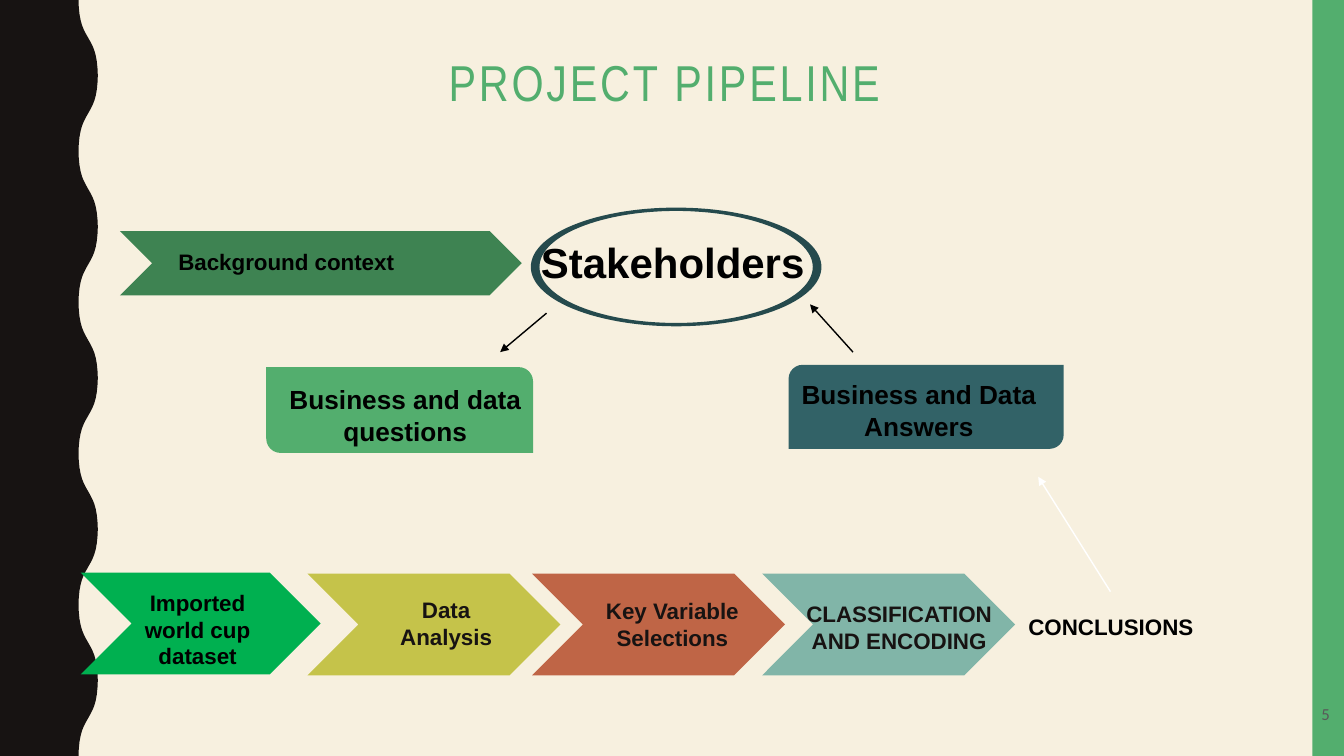
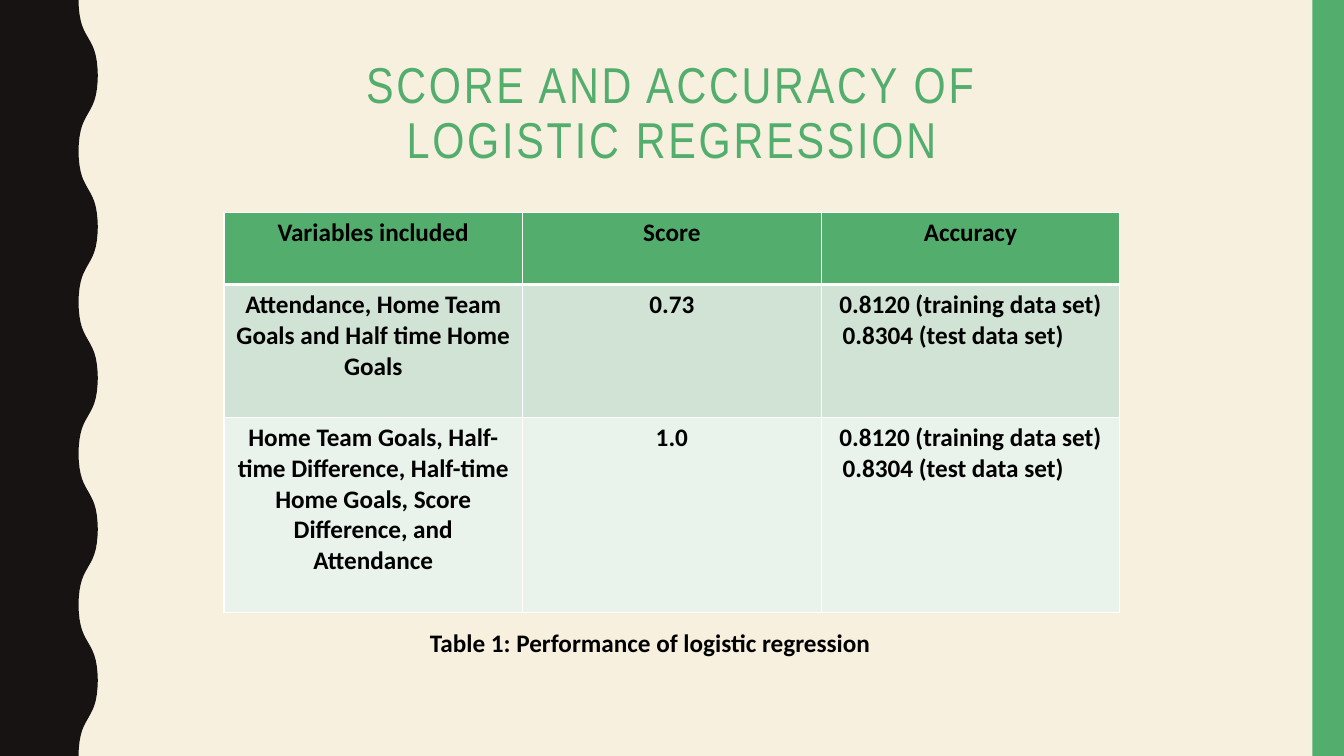
from math import cos, pi, sin

from lxml import etree
from pptx import Presentation
from pptx.dml.color import RGBColor
from pptx.enum.shapes import MSO_CONNECTOR, MSO_SHAPE
from pptx.enum.text import MSO_ANCHOR, PP_ALIGN
from pptx.oxml.ns import qn
from pptx.util import Pt

# Shared look
WIDTH, HEIGHT = 960, 540
COLORS = {
    "paper": "F7F0DF", "ink": "171312", "green": "53AE6E", "black": "000000",
    "white": "FFFFFF", "grey": "595959", "forest": "3E8352", "teal": "326267",
    "deep": "254A4D", "bright": "00B050", "olive": "C5C34A", "rust": "BF6546",
    "sage": "81B5A8", "row odd": "D1E3D5", "row even": "E9F2EB",
}
TITLE = {"name": "Arial Narrow", "size": 36, "color": "green"}
LABEL = {"name": "Arial", "size": 16, "color": "black", "bold": True}
STAGE = {**LABEL, "color": "ink"}
HEADLINE = {**LABEL, "size": 30}
BOX_LABEL = {**LABEL, "size": 18.7}
TABLE = {"name": "Calibri", "size": 18, "color": "black", "bold": True}
NUMBER = {"name": "Calibri", "size": 12, "color": "grey"}
TOP, MIDDLE, BOTTOM = MSO_ANCHOR.TOP, MSO_ANCHOR.MIDDLE, MSO_ANCHOR.BOTTOM

# Wavy band: half of one wave, from trough to its turning point
WAVE_LENGTH, WAVE_MIDDLE = 108, 63
WAVE_QUARTER = [(0, 56.1), (5, 56.3), (10, 56.8), (14.4, 57.6),
                (18, 58.6), (21, 59.8), (24, 61.3), (27, 63)]

# Pipeline content: boxes are (left, top, width, height)
CHEVRONS = [
    ("olive", (219.6, 409.7, 180.7, 72.7)),
    ("forest", (85.7, 165, 287, 46)),
    ("rust", (380, 409.7, 180.7, 72.7)),
    ("sage", (544.4, 409.7, 180.7, 72.7)),
    ("bright", (57.6, 409, 171.4, 72.7)),
]
CORNER_BOXES = [
    ("teal", (563.3, 260.6, 196.5, 60), (0.167, 0)),
    ("green", (190.2, 262.2, 190.6, 61.3), (0, 0.167)),
]
RING_CENTER = (483, 190.7)
RING_RADII = [(103.8, 42.4), (97.6, 40)]
ARROWS = [
    ("black", (390.4, 223.7), (357.3, 251.5)),
    ("black", (609.3, 251.5), (578.6, 217.4)),
    ("white", (793.2, 422.6), (741.6, 340.6)),
]
PIPELINE_TEXTS = [
    ("Stakeholders", (376.6, 165, 208, 44), HEADLINE, MIDDLE, 7.2),
    ("Background context", (51, 173.5, 307, 26.6), LABEL, MIDDLE, 7.2),
    ("Business and data questions", (162, 261.4, 255, 70), BOX_LABEL, MIDDLE, 9.6),
    ("Business and Data Answers", (552.3, 262, 208, 62), BOX_LABEL, MIDDLE, 9.6),
    ("Imported world cup dataset", (92.9, 416.2, 96.5, 65.5), LABEL, BOTTOM, 7.2),
    ("Data Analysis", (275.8, 422, 85.7, 46), STAGE, BOTTOM, 7.2),
    ("Key Variable Selections", (422, 422.6, 116.6, 46), STAGE, BOTTOM, 7.2),
    ("CLASSIFICATION AND ENCODING", (566, 424.4, 152.6, 46), STAGE, BOTTOM, 7.2),
    ("CONCLUSIONS", (725.8, 434.2, 135.4, 26.6), LABEL, BOTTOM, 7.2),
]

# Table content
ACCURACY = ["0.8120 (training data set)", "0.8304 (test data set)"]
ROWS = [
    (51.4, "green", [["Variables included"], ["Score"], ["Accuracy"]]),
    (95, "row odd", [["Attendance, Home Team Goals and Half time Home Goals"],
                     ["0.73"], ACCURACY]),
    (139.3, "row even", [["Home Team Goals, Half-time Difference, Half-time Home "
                          "Goals, Score Difference, and Attendance"],
                         ["1.0"], ACCURACY]),
]
TABLE_LEFT, TABLE_TOP, COLUMN_WIDTH = 160, 151.8, 213.3


def rgb(name):
    return RGBColor.from_string(COLORS[name])


def points(values):
    return [Pt(v) for v in values]


def style_run(r, look):
    for key, value in look.items():
        if key == "color":
            r.font.color.rgb = rgb(value)
        else:
            setattr(r.font, key, Pt(value) if key == "size" else value)


def add_text(s, text, box, look, anchor=TOP, inset=7.2, align=PP_ALIGN.CENTER):
    tf = s.shapes.add_textbox(*points(box)).text_frame
    tf.word_wrap = True
    tf.vertical_anchor = anchor
    margins = {"left": inset, "right": inset}
    margins["top"] = margins["bottom"] = 3.6 if inset == 7.2 else inset
    for side, value in margins.items():
        setattr(tf, f"margin_{side}", Pt(value))
    p = tf.paragraphs[0]
    p.alignment = align
    r = p.add_run()
    r.text = text
    style_run(r, look)
    return p


def paint(sp, color):
    sp.shadow.inherit = False
    sp.fill.solid()
    sp.fill.fore_color.rgb = rgb(color)
    sp.line.fill.background()


def add_shape(s, kind, box, color):
    sp = s.shapes.add_shape(kind, *points(box))
    paint(sp, color)
    return sp


def add_outline(s, contours, color):
    """Fill one or more closed contours given in points."""
    scaled = [[points(xy) for xy in contour] for contour in contours]
    builder = s.shapes.build_freeform(*scaled[0][0], scale=1.0)
    builder.add_line_segments(scaled[0][1:], close=True)
    for contour in scaled[1:]:
        builder.move_to(*contour[0])
        builder.add_line_segments(contour[1:], close=True)
    paint(builder.convert_to_shape(), color)


def add_arrow(s, color, start, end):
    c = s.shapes.add_connector(MSO_CONNECTOR.STRAIGHT, *points(start + end))
    c.line.color.rgb = rgb(color)
    c.line.width = Pt(1)
    props = c._element.spPr
    etree.SubElement(props.find(qn("a:ln")), qn("a:tailEnd"), type="triangle")
    etree.SubElement(props, qn("a:effectLst"))


def wave_edge():
    half = WAVE_LENGTH / 2
    rise = WAVE_QUARTER + [(half - y, 2 * WAVE_MIDDLE - x)
                           for y, x in WAVE_QUARTER[-2::-1]]
    wave = rise + [(WAVE_LENGTH - y, x) for y, x in rise[-2::-1]]
    return [(x, y + n * WAVE_LENGTH)
            for n in range(HEIGHT // WAVE_LENGTH) for y, x in wave]


def add_slide(prs, title, box, inset):
    s = prs.slides.add_slide(prs.slide_layouts[6])
    s.background.fill.solid()
    s.background.fill.fore_color.rgb = rgb("paper")
    add_outline(s, [[(0, 0), *wave_edge(), (0, HEIGHT)]], "ink")
    add_shape(s, MSO_SHAPE.RECTANGLE, (937.5, 0, 22.5, HEIGHT), "green")
    p = add_text(s, title, box, TITLE, inset=inset)
    p.line_spacing = 0.9
    p.runs[0].font._element.set("spc", "200")
    return s


def ellipse(center, radii, steps=120):
    angles = [2 * pi * n / steps for n in range(steps)]
    return [(center[0] + radii[0] * cos(a), center[1] + radii[1] * sin(a))
            for a in angles]


def add_borders(cell, widths):
    props = cell._tc.get_or_add_tcPr()
    for side, width in widths.items():
        ln = etree.SubElement(props, qn(f"a:ln{side}"), w=str(Pt(width)))
        fill = etree.SubElement(ln, qn("a:solidFill"))
        etree.SubElement(fill, qn("a:srgbClr"), val=COLORS["white"])


def fill_cell(cell, lines, color):
    cell.fill.solid()
    cell.fill.fore_color.rgb = rgb(color)
    tf = cell.text_frame
    for n, line in enumerate(lines):
        p = tf.add_paragraph() if n else tf.paragraphs[0]
        p.alignment = PP_ALIGN.LEFT if n else PP_ALIGN.CENTER
        if n:
            p._p.get_or_add_pPr().set("marL", str(Pt(8.2)))
        r = p.add_run()
        r.text = line
        style_run(r, TABLE)


def build_pipeline(prs):
    s = add_slide(prs, "PROJECT PIPELINE", (177, 31.7, 595.5, 69), 9.6)
    for color, box in CHEVRONS:
        add_shape(s, MSO_SHAPE.CHEVRON, box, color)
    for color, box, corners in CORNER_BOXES:
        sp = add_shape(s, MSO_SHAPE.ROUND_2_DIAG_RECTANGLE, box, color)
        for n, corner in enumerate(corners):
            sp.adjustments[n] = corner
    outer, inner = (ellipse(RING_CENTER, radii) for radii in RING_RADII)
    add_outline(s, [outer, inner[::-1]], "deep")
    for arrow in ARROWS:
        add_arrow(s, *arrow)
    for item in PIPELINE_TEXTS:
        add_text(s, *item)
    add_text(s, "5", (902, 495.4, 57.6, 41), NUMBER, inset=9.6, align=PP_ALIGN.RIGHT)


def build_scores(prs):
    s = add_slide(prs, "SCORE AND ACCURACY OF LOGISTIC REGRESSION",
                  (182.2, 36, 595.5, 132.5), 7.21)
    columns = len(ROWS[0][2])
    table = s.shapes.add_table(
        len(ROWS), columns, *points((TABLE_LEFT, TABLE_TOP, COLUMN_WIDTH * columns,
                                     sum(row[0] for row in ROWS)))).table
    for column in table.columns:
        column.width = Pt(COLUMN_WIDTH)
    for i, (height, color, cells) in enumerate(ROWS):
        table.rows[i].height = Pt(height)
        for j, lines in enumerate(cells):
            cell = table.cell(i, j)
            add_borders(cell, {"L": 1, "R": 1, "T": 3 if i == 1 else 1,
                               "B": 3 if i == 0 else 1})
            fill_cell(cell, lines, color)
    add_text(s, "Table 1: Performance of logistic regression",
             (191.5, 444.2, 545.8, 29), TABLE)


def main():
    prs = Presentation()
    prs.slide_width, prs.slide_height = points((WIDTH, HEIGHT))
    build_pipeline(prs)
    build_scores(prs)
    prs.save("out.pptx")


if __name__ == "__main__":
    main()
